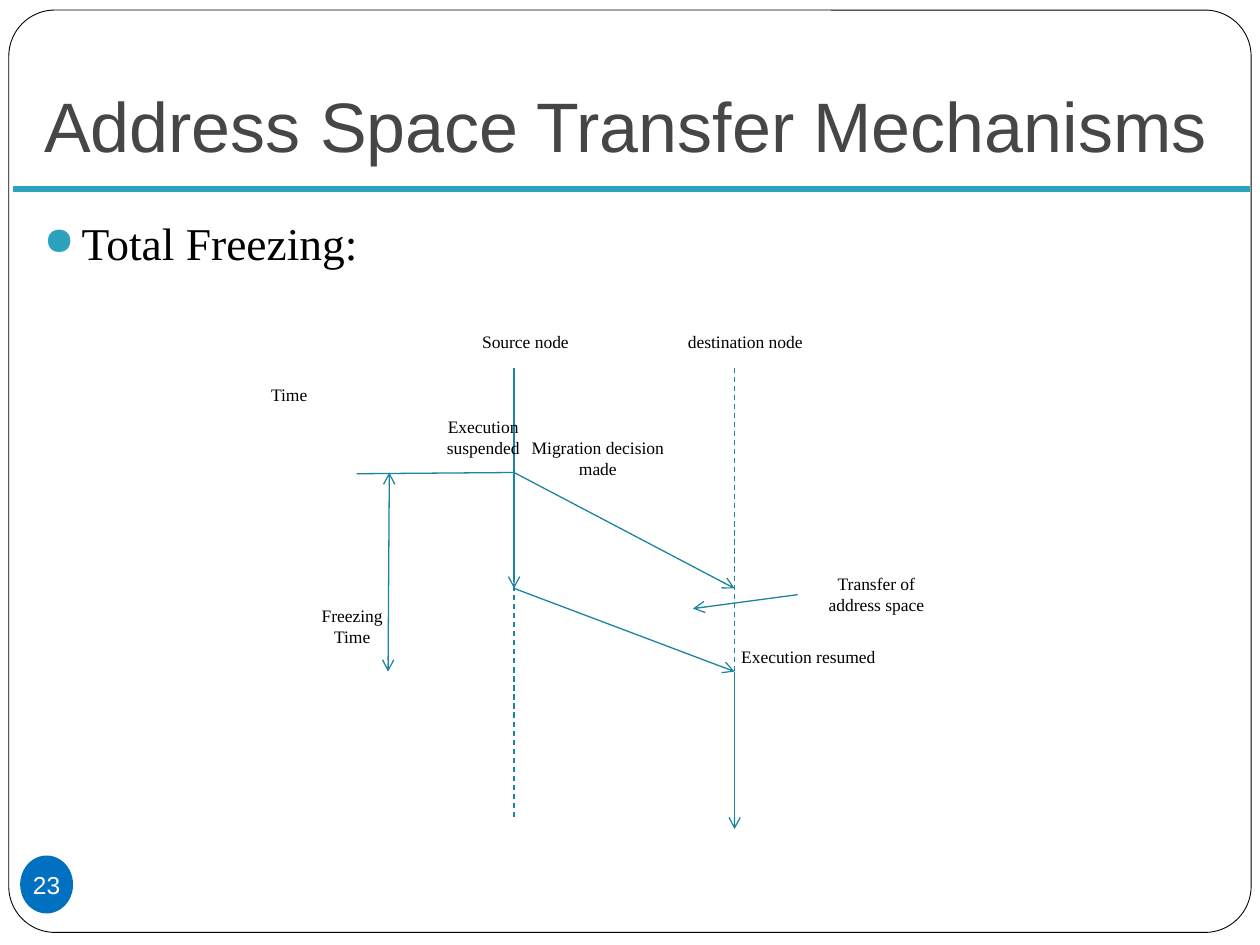
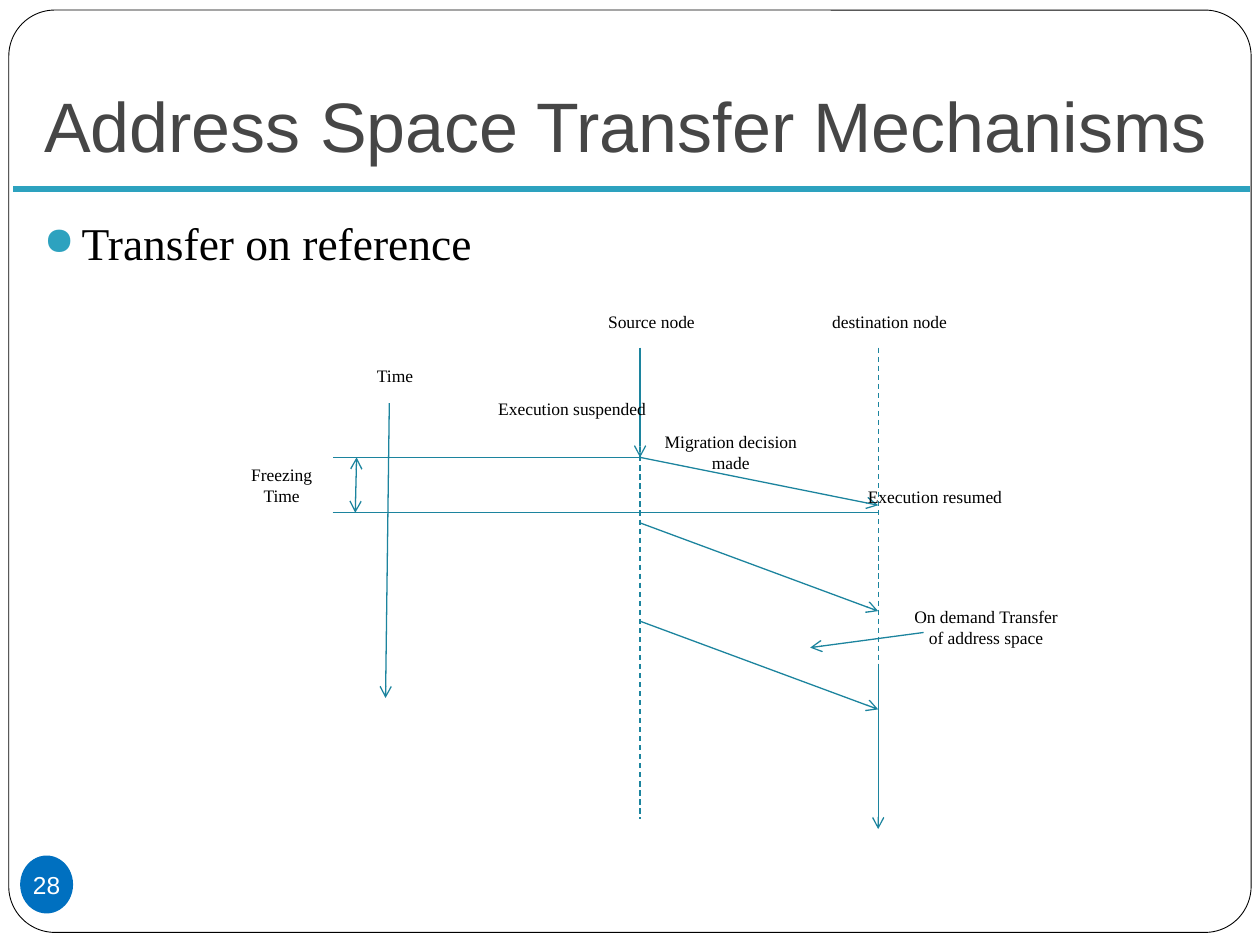
from typing import NamedTuple

from lxml.etree import SubElement
from pptx import Presentation
from pptx.dml.color import RGBColor as Rgb
from pptx.enum.dml import MSO_LINE as Dash
from pptx.enum.shapes import MSO_CONNECTOR as Conn, MSO_SHAPE as Shape
from pptx.enum.text import MSO_ANCHOR as Anchor, PP_ALIGN as Align
from pptx.oxml.ns import qn
from pptx.util import Inches, Pt

COLORS = {
    "paper": "FFFFFF",
    "ink": "000000",
    "title": "464646",
    "rule": "2DA2BF",
    "arrow": "1C849E",
    "badge": "0070C0",
}
SANS, SERIF = "Arial", "Times New Roman"
TITLE = "Address Space Transfer Mechanisms"


class Line(NamedTuple):
    x1: float
    y1: float
    x2: float
    y2: float
    ends: str = ""  # "head", "tail" or both
    dash: bool = False


class Label(NamedTuple):
    text: str
    x: float
    y: float
    w: float
    rows: int = 1


class Page(NamedTuple):
    number: int
    topic: str
    lines: list[Line]
    labels: list[Label]


def color(name: str) -> Rgb:
    return Rgb.from_string(COLORS[name])


def box(x: float, y: float, w: float, h: float) -> tuple:
    return Inches(x), Inches(y), Inches(w), Inches(h)


def set_frame(frame, left: float, top: float, right: float, low: float,
              anchor=Anchor.TOP, wrap: bool = True) -> None:
    """Set the insets, anchor and wrapping of a text frame."""
    frame.margin_left, frame.margin_top = Inches(left), Inches(top)
    frame.margin_right, frame.margin_bottom = Inches(right), Inches(low)
    frame.vertical_anchor = anchor
    frame.word_wrap = wrap


def add_run(para, text: str, size: float, font: str, ink: str) -> None:
    run = para.add_run()
    run.text = text
    run.font.size, run.font.name = Pt(size), font
    run.font.color.rgb = color(ink)


def add_line(shapes, line: Line, ink: str = "arrow", width: float = 0.75) -> None:
    ends = [Inches(v) for v in line[:4]]
    conn = shapes.add_connector(Conn.STRAIGHT, *ends)
    conn.line.color.rgb = color(ink)
    conn.line.width = Pt(width)
    if line.dash:
        conn.line.dash_style = Dash.DASH
    props = conn.line._get_or_add_ln()
    for end in line.ends.split():
        SubElement(props, qn(f"a:{end}End"), type="arrow")
    SubElement(conn._element.spPr, qn("a:effectLst"))


def add_label(shapes, label: Label) -> None:
    height = 0.1 + 0.17 * label.rows
    frame = shapes.add_textbox(*box(label.x, label.y, label.w, height)).text_frame
    set_frame(frame, 0.1, 0.05, 0.1, 0.05)
    para = frame.paragraphs[0]
    para.alignment = Align.CENTER
    add_run(para, label.text, 10, SERIF, "ink")


def add_base(slide) -> None:
    """Draw the rounded frame, the rule and the title."""
    edge = slide.shapes.add_shape(Shape.ROUNDED_RECTANGLE, *box(0.07, 0.08, 9.86, 7.32))
    edge.adjustments[0] = 0.05
    edge.shadow.inherit = False
    edge.fill.solid()
    edge.fill.fore_color.rgb = color("paper")
    edge.line.color.rgb = color("ink")
    edge.line.width = Pt(0.5)
    add_line(slide.shapes, Line(9.92, 1.5, 0.1, 1.5), "rule", 3)

    title = slide.shapes.title
    slide.shapes._spTree.append(title._element)  # bring in front of the frame
    title.left, title.top, title.width, title.height = box(0.25, 0.3, 9.5, 1.12)
    set_frame(title.text_frame, 0.1, 0.05, 0.1, 0.1, Anchor.BOTTOM)
    para = title.text_frame.paragraphs[0]
    para.alignment = Align.LEFT
    add_run(para, TITLE, 40, SANS, "title")


def add_badge(slide, number: int) -> None:
    disc = slide.shapes.add_shape(Shape.OVAL, *box(0.16, 6.79, 0.42, 0.46))
    disc.shadow.inherit = False
    disc.fill.solid()
    disc.fill.fore_color.rgb = color("badge")
    disc.line.fill.background()
    set_frame(disc.text_frame, 0, 0, 0, 0, Anchor.MIDDLE, False)
    para = disc.text_frame.paragraphs[0]
    para.alignment = Align.CENTER
    add_run(para, str(number), 14, SANS, "paper")


def add_topic(slide, text: str) -> None:
    """Add the bulleted line under the rule."""
    frame = slide.shapes.add_textbox(*box(0.25, 1.58, 9.5, 0.62)).text_frame
    set_frame(frame, 0.1, 0.13, 0.1, 0.05)
    para = frame.paragraphs[0]
    props = para._p.get_or_add_pPr()
    props.set("marL", str(Inches(0.3)))
    props.set("indent", str(-Inches(0.3)))
    tint = SubElement(props, qn("a:buClr"))
    SubElement(tint, qn("a:srgbClr"), val=COLORS["rule"])
    SubElement(props, qn("a:buSzPct"), val="85000")
    SubElement(props, qn("a:buChar"), char="●")
    add_run(para, text, 26, SERIF, "ink")


def add_page(deck, page: Page) -> None:
    slide = deck.slides.add_slide(deck.slide_layouts[5])
    add_base(slide)
    add_badge(slide, page.number)
    add_topic(slide, page.topic)
    chart = slide.shapes.add_group_shape().shapes
    for line in page.lines:
        add_line(chart, line)
    for label in page.labels:
        add_label(chart, label)


def freeze_page() -> Page:
    src, dest = 4.08, 5.83
    stop, sent, back = 3.75, 4.67, 5.33
    return Page(23, "Total Freezing:", [
        Line(src, 2.92, src, sent, "tail"),
        Line(src, 4.58, src, 6.5, dash=True),
        Line(dest, 2.92, dest, back, dash=True),
        Line(dest, back, dest, 6.58, "tail"),
        Line(src, stop, dest, sent, "tail"),
        Line(src, sent, dest, back, "tail"),
        Line(src, stop, 2.83, 3.76),
        Line(3.09, stop, 3.08, back, "head tail"),
        Line(6.33, 4.72, 5.5, 4.83, "tail"),
    ], [
        Label("Source node", 3.67, 2.58, 1),
        Label("destination node", 5.25, 2.58, 1.33),
        Label("Migration decision made", 4.08, 3.42, 1.33, 2),
        Label("Execution suspended", 3.17, 3.25, 1.33, 2),
        Label("Transfer of address space", 6.33, 4.5, 1.25, 2),
        Label("Execution resumed", 5.75, 5.08, 1.33),
        Label("Time", 1.92, 3, 0.75),
        Label("Freezing Time", 2.42, 4.75, 0.75, 2),
    ])


def demand_page() -> Page:
    src, dest = 5.08, 6.97
    stop, back = 3.63, 4.07
    pulls = [Line(src, y, dest, y + 0.7, "tail") for y in (4.15, 4.93)]
    return Page(28, "Transfer on reference", [
        Line(src, 2.76, src, stop, "tail"),
        Line(src, 3.55, src, 6.5, dash=True),
        Line(dest, 2.76, dest, 5.28, dash=True),
        Line(dest, 5.28, dest, 6.58, "tail"),
        Line(src, stop, dest, 4.01, "tail"),
        *pulls,
        Line(src, stop, 2.64, stop),
        Line(2.64, back, dest, back),
        Line(2.83, stop, 2.82, back, "head tail"),
        Line(3.09, 3.2, 3.06, 5.54, "tail"),
        Line(7.33, 5.02, 6.43, 5.14, "tail"),
    ], [
        Label("Source node", 4.63, 2.42, 1.08),
        Label("destination node", 6.34, 2.42, 1.44),
        Label("Migration decision made", 5.08, 3.37, 1.44, 2),
        Label("Execution suspended", 3.82, 3.11, 1.44),
        Label("On demand Transfer of address space", 7.15, 4.76, 1.35, 2),
        Label("Execution resumed", 6.7, 3.81, 1.44),
        Label("Time", 2.73, 2.85, 0.81),
        Label("Freezing Time", 1.83, 3.63, 0.81, 2),
    ])


def main() -> None:
    deck = Presentation()
    deck.slide_width, deck.slide_height = Inches(10), Inches(7.5)
    for page in (freeze_page(), demand_page()):
        add_page(deck, page)
    deck.save("out.pptx")


if __name__ == "__main__":
    main()
